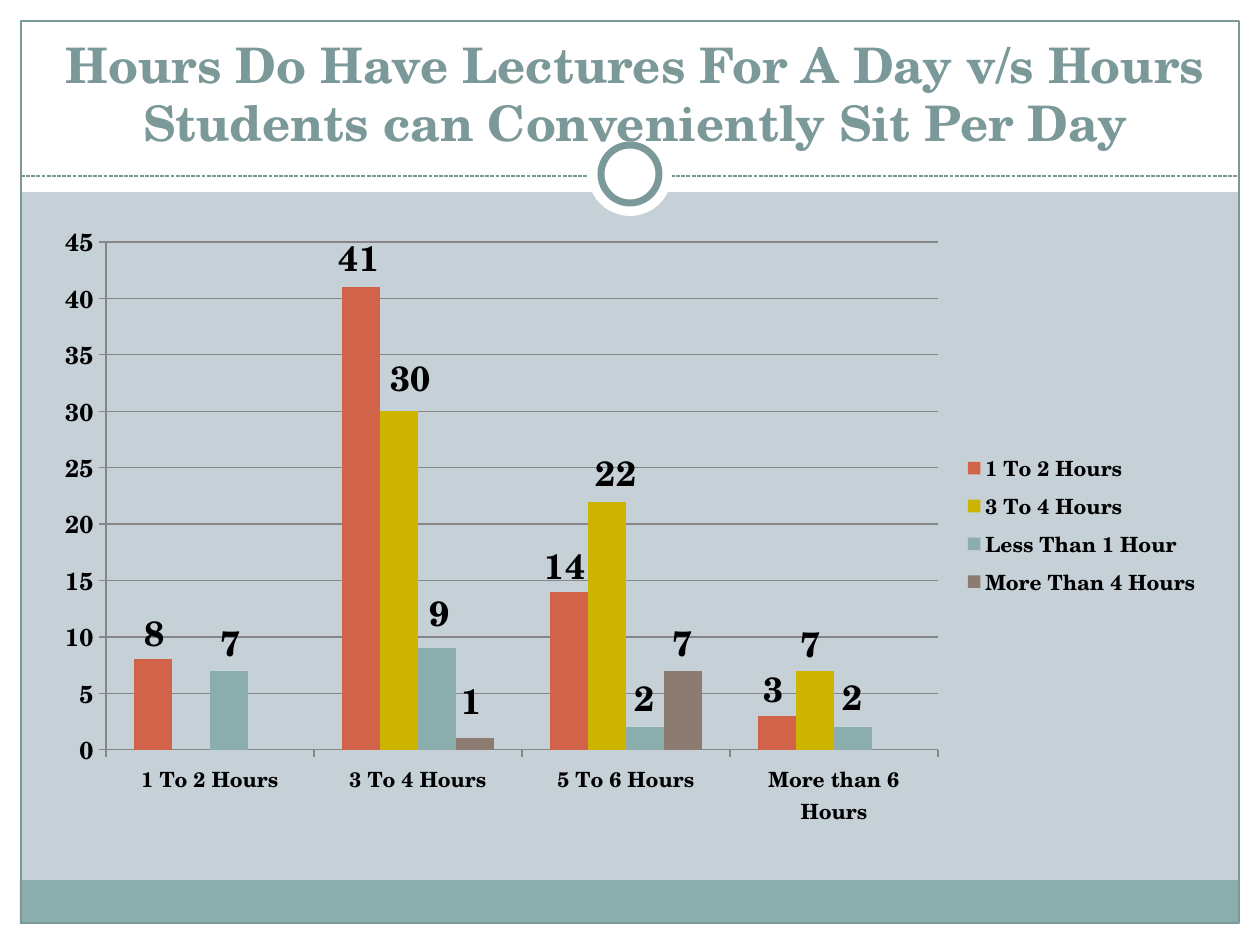
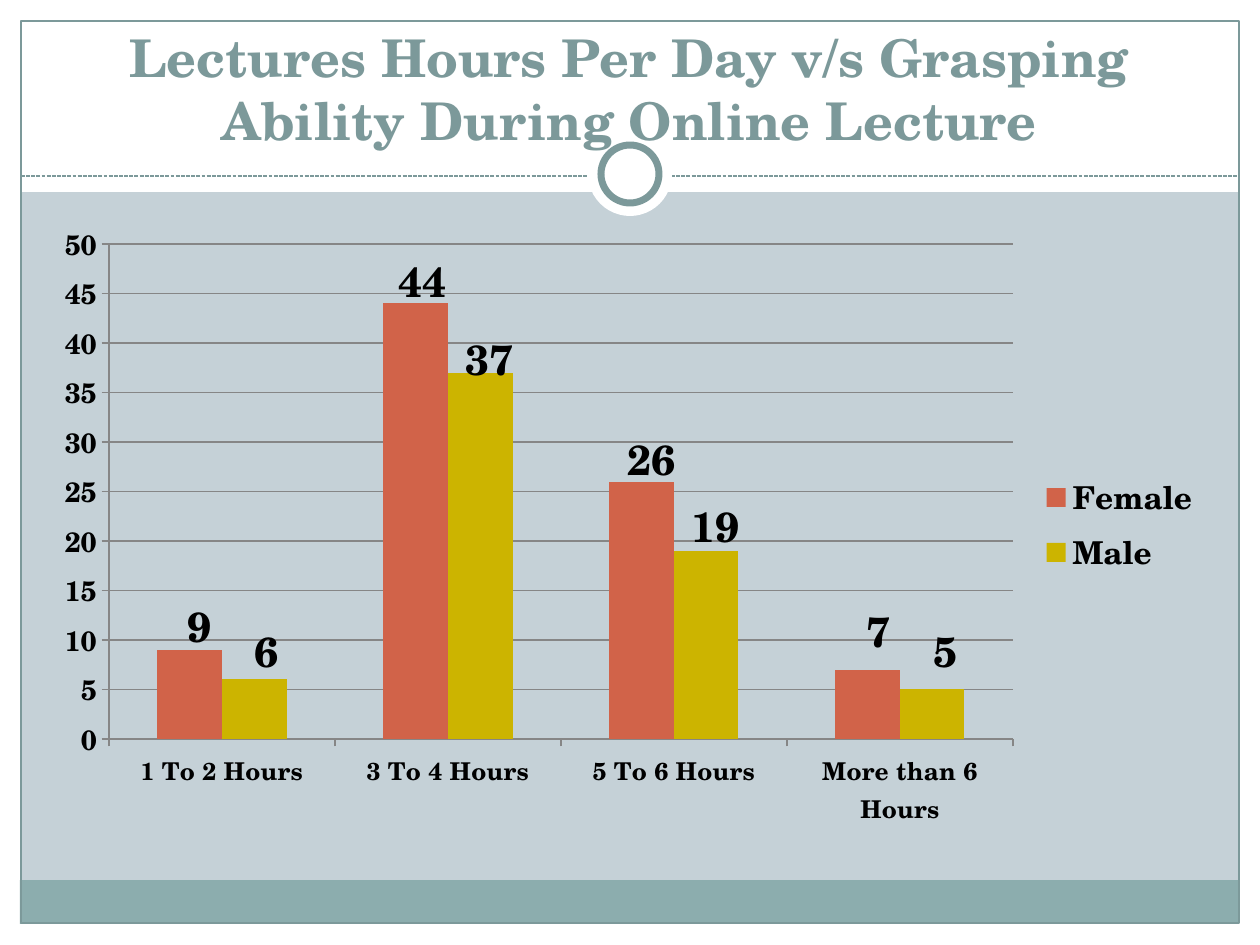
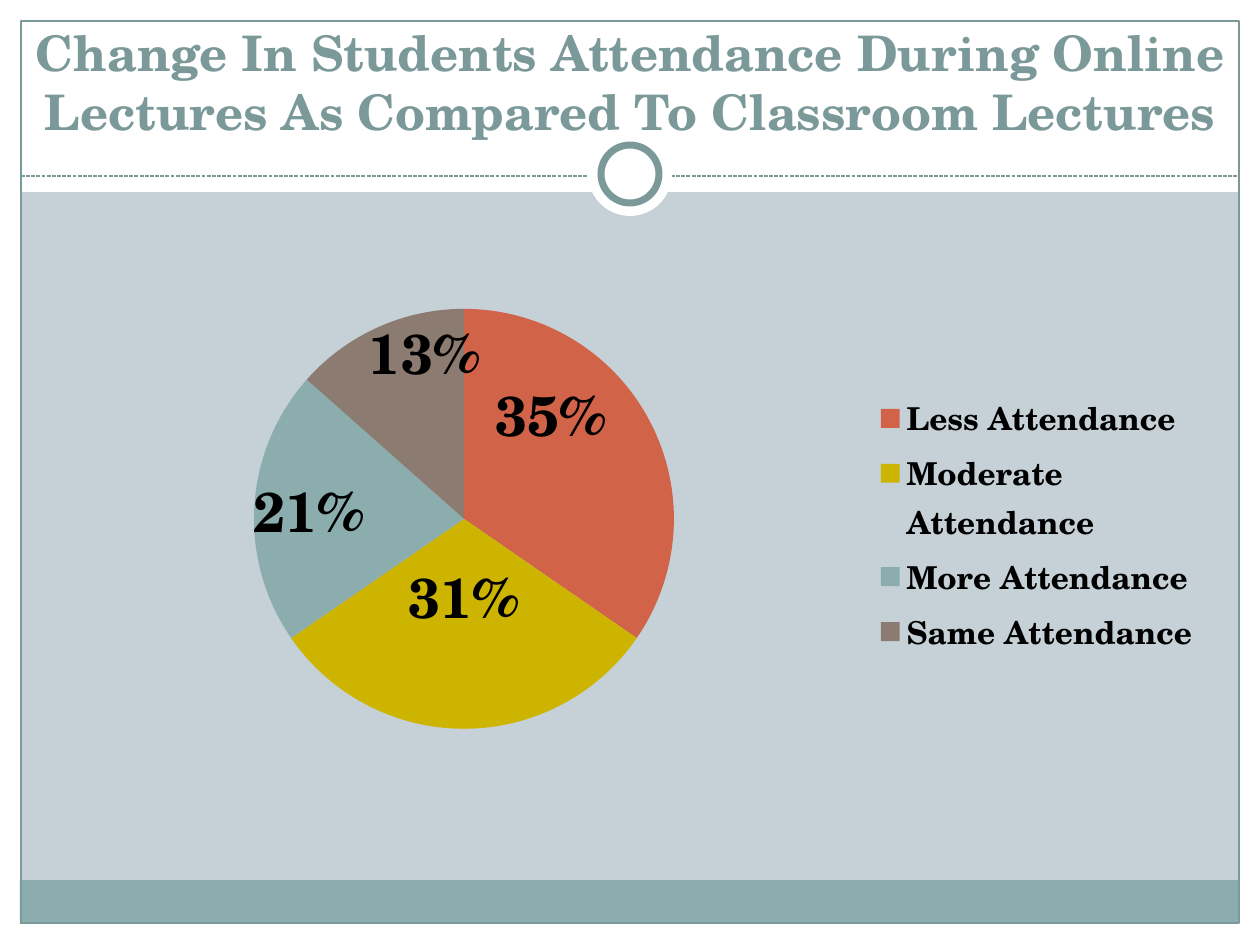
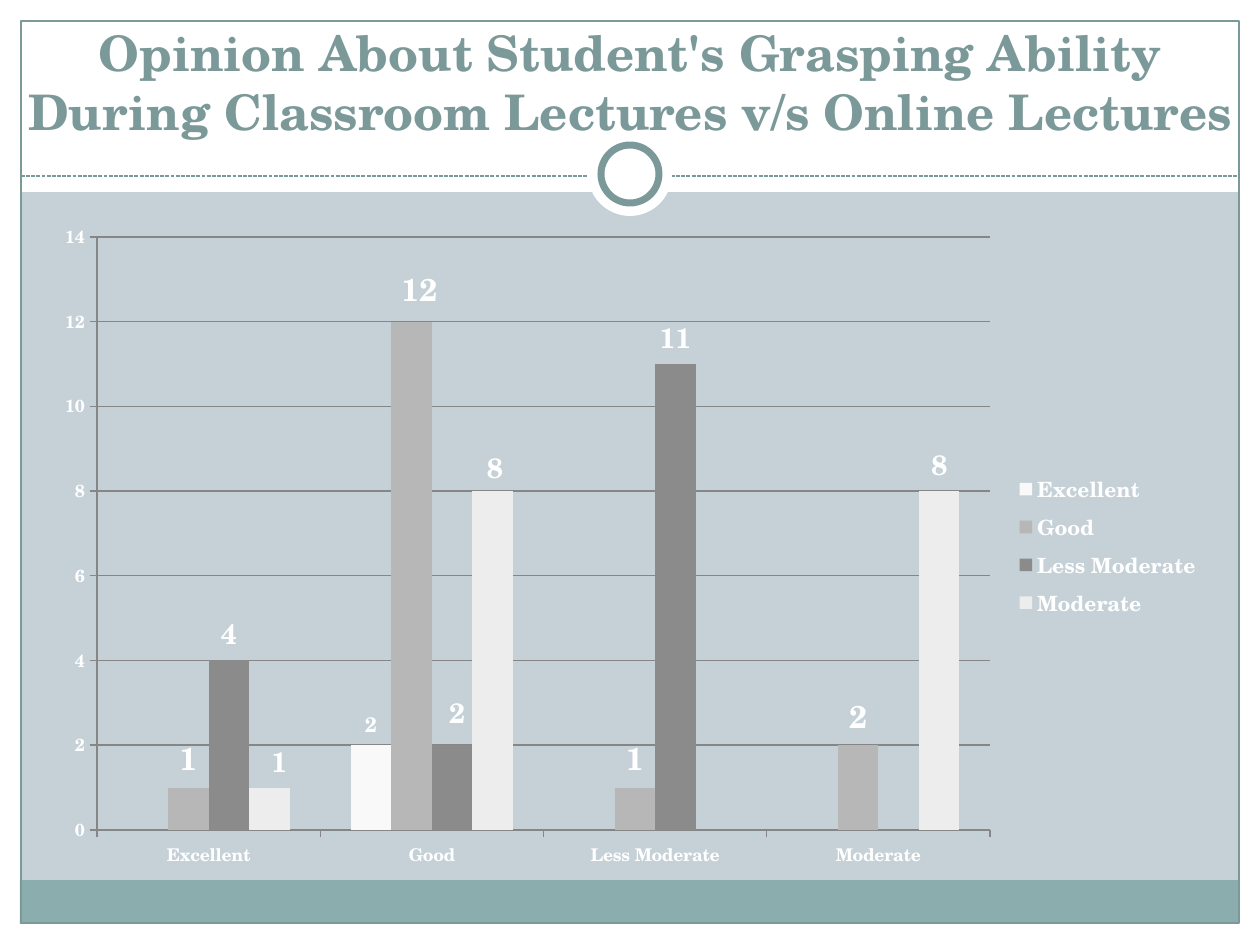
"""Builds four survey slides with charts about lecture hours and online lectures."""
from dataclasses import dataclass, field
from typing import NamedTuple, Optional

from pptx import Presentation
from pptx.chart.chart import Chart
from pptx.chart.data import CategoryChartData
from pptx.dml.color import RGBColor
from pptx.enum.chart import XL_CHART_TYPE as ChartType
from pptx.enum.chart import XL_LABEL_POSITION as LabelPlace
from pptx.enum.chart import XL_LEGEND_POSITION as LegendPlace
from pptx.enum.chart import XL_TICK_MARK as Tick
from pptx.enum.dml import MSO_LINE_DASH_STYLE as Dash
from pptx.enum.shapes import MSO_CONNECTOR as Connector
from pptx.enum.shapes import MSO_SHAPE as Preset
from pptx.enum.text import MSO_ANCHOR as Anchor
from pptx.enum.text import PP_ALIGN as Align
from pptx.oxml import parse_xml
from pptx.oxml.ns import nsdecls, qn
from pptx.slide import Slide
from pptx.util import Emu, Pt

EMU_PER_PIXEL = 914400 / 126


class Box(NamedTuple):
    left: int
    top: int
    width: int
    height: int


@dataclass(frozen=True)
class Theme:
    font: str = "TeX Gyre Schola"
    paper: str = "FFFFFF"
    ground: str = "C5D1D7"
    footer: str = "8CADAE"
    accent: str = "7C999A"
    ink: str = "000000"
    grid: str = "868686"
    palette: tuple[str, ...] = ("D16349", "CCB400", "8CADAE", "8C7B70")
    greys: tuple[str, ...] = ("F9F9F9", "B7B7B7", "8B8B8B", "EDEDED")
    title_size: float = 28
    wide_title_size: float = 29.7
    thin: float = 0.75
    ring: float = 4


THEME = Theme()
PAGE = Box(0, 0, 1260, 945)
MARGIN = 21
HEADER_HEIGHT = 192
RULE_TOP = 176
FOOTER = Box(20, 880, 1218, 44)
FRAME = Box(MARGIN, MARGIN, PAGE.width - 2 * MARGIN, 902)
CHART = Box(42, 210, 1171, 630)
TALL_CHART = CHART._replace(height=672)
HOURS = ("1 To 2 Hours", "3 To 4 Hours", "5 To 6 Hours", "More than 6 Hours")
RATINGS = ("Excellent", "Good", "Less Moderate", "Moderate")


@dataclass(frozen=True)
class Answer:
    """One series; nudges shift the label of a point, in pixels."""
    name: str
    counts: tuple[Optional[int], ...]
    label_size: float
    nudges: dict[int, tuple[int, int]] = field(default_factory=dict)


@dataclass(frozen=True)
class Survey:
    """One slide: its title and its chart."""
    title: str
    title_box: Box
    categories: tuple[str, ...]
    answers: tuple[Answer, ...]
    plot_box: Box
    legend_size: float
    category_size: float = 10
    value_size: float = 10
    top_value: int = 0
    step: int = 5
    chart_box: Box = CHART
    title_size: float = THEME.title_size
    colors: tuple[str, ...] = THEME.palette
    ink: str = THEME.ink
    is_pie: bool = False


SURVEYS = (
    Survey(
        "Hours Do Have Lectures For A Day v/s Hours Students can Conveniently Sit Per Day",
        Box(10, 0, 1250, 158), HOURS,
        (
            Answer("1 To 2 Hours", (8, 41, 14, 3), 20,
                   {0: (1, 5), 1: (-2, 3), 2: (-4, 6), 3: (-4, 5)}),
            Answer("3 To 4 Hours", (None, 30, 22, 7), 20,
                   {1: (12, -2), 2: (9, 3), 3: (-4, 5)}),
            Answer("Less Than 1 Hour", (7, 9, 2, 2), 20,
                   {0: (2, 4), 1: (3, -4), 2: (0, 2), 3: (0, 1)}),
            Answer("More Than 4 Hours", (None, 1, 7, None), 20,
                   {1: (-3, -6), 2: (0, 4)}),
        ),
        Box(106, 242, 832, 508), legend_size=12, category_size=12, value_size=14,
        top_value=45,
    ),
    Survey(
        "Lectures Hours Per Day v/s Grasping Ability During Online Lecture",
        Box(42, 52, 1175, 105), HOURS,
        (
            Answer("Female", (9, 44, 26, 7), 24,
                   {0: (10, 13), 1: (7, 15), 2: (10, 15), 3: (11, -1)}),
            Answer("Male", (6, 37, 19, 5), 24,
                   {0: (12, 9), 1: (9, 24), 2: (9, 12), 3: (13, -1)}),
        ),
        Box(109, 244, 904, 495), legend_size=18, category_size=14, value_size=16,
        top_value=50, title_size=THEME.wide_title_size,
    ),
    Survey(
        "Change In Students Attendance During Online Lectures As Compared To Classroom Lectures",
        Box(-21, 41, 1302, 105),
        ("Less Attendance", "Moderate Attendance", "More Attendance", "Same Attendance"),
        (
            Answer("Series 1", (18, 16, 11, 7), 32,
                   {0: (-6, -56), 1: (0, -28), 2: (-50, -2), 3: (4, -71)}),
        ),
        Box(254, 309, 420, 420), legend_size=18, is_pie=True,
    ),
    Survey(
        "Opinion About Student's Grasping Ability During Classroom Lectures v/s Online Lectures",
        Box(10, 41, 1240, 105), RATINGS,
        (
            Answer("Excellent", (None, 2, None, None), 12),
            Answer("Good", (1, 12, 1, 2), 18, {1: (8, -3)}),
            Answer("Less Moderate", (4, 2, 11, None), 16, {1: (5, -6)}),
            Answer("Moderate", (1, 8, None, 8), 16, {0: (10, 0), 1: (2, 3)}),
        ),
        Box(97, 237, 893, 593), legend_size=12, top_value=14, step=2,
        chart_box=TALL_CHART, colors=THEME.greys, ink=THEME.paper,
    ),
)


def px(length: float) -> Emu:
    return Emu(round(length * EMU_PER_PIXEL))


def place(box: Box) -> tuple[Emu, ...]:
    return tuple(px(length) for length in box)


def rgb(color: str) -> RGBColor:
    return RGBColor.from_string(color)


def paint(target, color: str) -> None:
    target.fill.solid()
    target.fill.fore_color.rgb = rgb(color)


def set_font(font, size: float, color: str) -> None:
    font.name = THEME.font
    font.size = Pt(size)
    font.bold = True
    font.color.rgb = rgb(color)


def draw_shape(slide: Slide, preset: Preset, box: Box, fill: Optional[str] = None,
               line_width: float = 0) -> None:
    shape = slide.shapes.add_shape(preset, *place(box))
    shape.shadow.inherit = False
    if fill:
        paint(shape, fill)
    else:
        shape.fill.background()
    if line_width:
        shape.line.color.rgb = rgb(THEME.accent)
        shape.line.width = Pt(line_width)
    else:
        shape.line.fill.background()


def draw_backdrop(slide: Slide) -> None:
    paint(slide.background, THEME.ground)
    for edge in (
        Box(0, PAGE.height - MARGIN, PAGE.width, MARGIN),
        Box(0, 0, PAGE.width, HEADER_HEIGHT),
        Box(0, 0, MARGIN, PAGE.height),
        Box(PAGE.width - MARGIN, 0, MARGIN, PAGE.height),
    ):
        draw_shape(slide, Preset.RECTANGLE, edge, THEME.paper)
    draw_shape(slide, Preset.RECTANGLE, FOOTER, THEME.footer)
    draw_shape(slide, Preset.RECTANGLE, FRAME, line_width=THEME.thin)
    rule = slide.shapes.add_connector(
        Connector.STRAIGHT, px(MARGIN), px(RULE_TOP), px(PAGE.width - MARGIN), px(RULE_TOP))
    rule.line.color.rgb = rgb(THEME.accent)
    rule.line.width = Pt(THEME.thin)
    rule.line.dash_style = Dash.SQUARE_DOT
    rule._element.spPr.append(parse_xml(f"<a:effectLst {nsdecls('a')}/>"))
    draw_shape(slide, Preset.OVAL, Box(588, 132, 84, 84), THEME.paper)
    draw_shape(slide, Preset.OVAL, Box(601, 145, 58, 58), THEME.paper, THEME.ring)


def draw_title(slide: Slide, survey: Survey) -> None:
    frame = slide.shapes.add_textbox(*place(survey.title_box)).text_frame
    frame.word_wrap = True
    frame.vertical_anchor = Anchor.BOTTOM
    paragraph = frame.paragraphs[0]
    paragraph.alignment = Align.CENTER
    run = paragraph.add_run()
    run.text = survey.title
    set_font(run.font, survey.title_size, THEME.accent)


def manual_layout(**settings: object):
    parts = "".join(f'<c:{tag} val="{value}"/>' for tag, value in settings.items())
    return parse_xml(
        f"<c:layout {nsdecls('c')}><c:manualLayout>{parts}</c:manualLayout></c:layout>")


def fix_plot_area(chart: Chart, survey: Survey) -> None:
    area = chart._chartSpace.chart.plotArea
    for layout in area.findall(qn("c:layout")):
        area.remove(layout)
    plot, outer = survey.plot_box, survey.chart_box
    area.insert(0, manual_layout(
        layoutTarget="inner", xMode="edge", yMode="edge",
        x=round((plot.left - outer.left) / outer.width, 4),
        y=round((plot.top - outer.top) / outer.height, 4),
        w=round(plot.width / outer.width, 4),
        h=round(plot.height / outer.height, 4)))


def style_axes(chart: Chart, survey: Survey) -> None:
    counts = chart.value_axis
    counts.minimum_scale, counts.maximum_scale = 0, survey.top_value
    counts.major_unit = survey.step
    counts.has_major_gridlines = True
    counts.major_gridlines.format.line.color.rgb = rgb(THEME.grid)
    for axis, size in ((chart.category_axis, survey.category_size),
                       (counts, survey.value_size)):
        axis.major_tick_mark = Tick.OUTSIDE
        axis.minor_tick_mark = Tick.NONE
        axis.format.line.color.rgb = rgb(THEME.grid)
        set_font(axis.tick_labels.font, size, survey.ink)


def label_points(series, answer: Answer, survey: Survey) -> None:
    labels = series.data_labels
    labels.show_value = True
    labels.position = LabelPlace.CENTER if survey.is_pie else LabelPlace.OUTSIDE_END
    set_font(labels.font, answer.label_size, survey.ink)
    for index, (right, down) in answer.nudges.items():
        label = series.points[index].data_label
        set_font(label.font, answer.label_size, survey.ink)
        label.position = labels.position
        node = labels._element.xpath(f'c:dLbl[c:idx/@val="{index}"]')[0]
        node.find(qn("c:showVal")).set("val", str(int(not survey.is_pie)))
        node.find(qn("c:showPercent")).set("val", str(int(survey.is_pie)))
        node.insert(1, manual_layout(x=round(right / survey.chart_box.width, 4),
                                     y=round(down / survey.chart_box.height, 4)))


def draw_chart(slide: Slide, survey: Survey) -> None:
    data = CategoryChartData()
    data.categories = survey.categories
    for answer in survey.answers:
        data.add_series(answer.name, answer.counts)
    kind = ChartType.PIE if survey.is_pie else ChartType.COLUMN_CLUSTERED
    chart = slide.shapes.add_chart(kind, *place(survey.chart_box), data).chart
    chart.has_title = False
    set_font(chart.font, 10, survey.ink)
    chart.has_legend = True
    chart.legend.position = LegendPlace.RIGHT
    chart.legend.include_in_layout = False
    set_font(chart.legend.font, survey.legend_size, survey.ink)
    fix_plot_area(chart, survey)
    plot = chart.plots[0]
    plot.vary_by_categories = survey.is_pie
    if survey.is_pie:
        painted = [plot.series[0].points[i] for i in range(len(survey.categories))]
    else:
        plot.gap_width, plot.overlap = 150, 0
        style_axes(chart, survey)
        painted = list(plot.series)
    for item, color in zip(painted, survey.colors):
        paint(item.format, color)
    for series, answer in zip(plot.series, survey.answers):
        label_points(series, answer, survey)


def main() -> None:
    deck = Presentation()
    deck.slide_width, deck.slide_height = px(PAGE.width), px(PAGE.height)
    for survey in SURVEYS:
        slide = deck.slides.add_slide(deck.slide_layouts[6])
        draw_backdrop(slide)
        draw_title(slide, survey)
        draw_chart(slide, survey)
    deck.save("out.pptx")


main()
